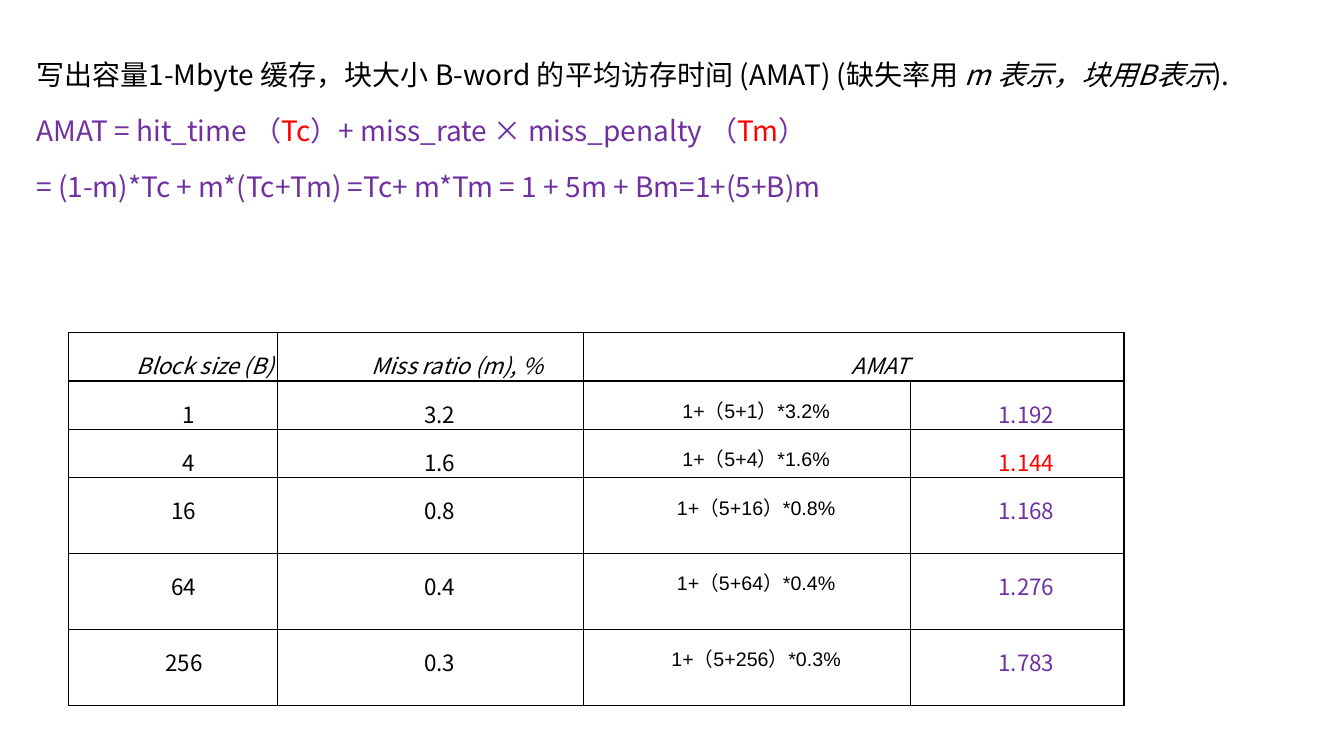
from pptx import Presentation
from pptx.dml.color import RGBColor as Rgb
from pptx.enum.text import MSO_AUTO_SIZE as Fit, MSO_ANCHOR as Anchor, PP_ALIGN as Align
from pptx.oxml import parse_xml
from pptx.oxml.ns import nsdecls
from pptx.util import Inches, Pt

BLACK = Rgb(0, 0, 0)
PURPLE = Rgb(0x70, 0x30, 0xA0)
RED = Rgb(0xFF, 0, 0)
SANS, ARIAL = "Noto Sans CJK SC", "Arial"

LINES = [
    [("写出容量1-Mbyte 缓存，块大小 B-word 的平均访存时间 (AMAT) (缺失率用 ", BLACK, False),
     ("m 表示，块用B表示", BLACK, True), (").", BLACK, False)],
    [("AMAT = hit_time （", PURPLE, False), ("Tc", RED, False),
     ("）+ miss_rate × miss_penalty （", PURPLE, False), ("Tm", RED, False),
     ("）", PURPLE, False)],
    [("= (1-m)*Tc + m*(Tc+Tm) =Tc+ m*Tm = 1 + 5m + Bm=1+(5+B)m", PURPLE, False)],
]
HEADS = [("Block size (B)", 0.36), ("Miss ratio (m), %", 0.25), ("AMAT", 0.25)]
ROWS = [
    ("1", "3.2", "1.192"),
    ("4", "1.6", "1.144"),
    ("16", "0.8", "1.168"),
    ("64", "0.4", "1.276"),
    ("256", "0.3", "1.783"),
]
BEST = "1.144"
WIDTHS = [2.07, 3.04, 3.24, 2.12]
HEIGHTS = [0.48] * 3 + [0.75] * 3


def add_run(para, text, size, color, face=SANS, italic=False):
    """Add one formatted run to a paragraph."""
    run = para.add_run()
    run.text = text
    form = {"size": Pt(size), "name": face, "italic": italic, "bold": False}
    for key, value in form.items():
        setattr(run.font, key, value)
    run.font.color.rgb = color
    east = parse_xml(f'<a:ea {nsdecls("a")} typeface="{SANS}"/>')
    run.font._element.append(east)


def indent(para, left, first, right=0):
    """Set the margins and first-line indent of a paragraph."""
    props = para._p.get_or_add_pPr()
    for key, value in {"marL": left, "indent": first, "marR": right}.items():
        props.set(key, str(Inches(value)))
    return props


def add_body(slide):
    """Fill the body with the question and the formula."""
    slide.shapes.title.element.getparent().remove(slide.shapes.title.element)
    body = slide.placeholders[1]
    place = {"left": 0.26, "top": 0.44, "width": 12.5, "height": 4.76}
    for key, value in place.items():
        setattr(body, key, Inches(value))
    frame = body.text_frame
    frame.auto_size = Fit.NONE
    for num, line in enumerate(LINES):
        para = frame.add_paragraph() if num else frame.paragraphs[0]
        indent(para, 0, 0).append(parse_xml(f'<a:buNone {nsdecls("a")}/>'))
        para.line_spacing = 1.25
        para.space_before = Pt(10 if num else 0)
        for text, color, italic in line:
            add_run(para, text, 20, color, italic=italic)


def set_cell(cell, text, margins, size=16, color=BLACK, face=SANS, italic=False):
    """Write centred text in a cell."""
    para = cell.text_frame.paragraphs[0]
    indent(para, *margins)
    para.alignment = Align.CENTER
    para.line_spacing = 1.5
    add_run(para, text, size, color, face, italic)


def style_cell(cell):
    """Clear the fill and padding of a cell and rule its four sides."""
    form = {"margin_left": 0, "margin_right": 0, "margin_top": 0,
            "margin_bottom": 0, "vertical_anchor": Anchor.TOP}
    for key, value in form.items():
        setattr(cell, key, value)
    props = cell._tc.get_or_add_tcPr()
    for side in ("lnL", "lnR", "lnT", "lnB"):
        props.append(parse_xml(
            f'<a:{side} {nsdecls("a")} w="{Pt(1)}"><a:solidFill>'
            f'<a:srgbClr val="{BLACK}"/></a:solidFill></a:{side}>'))
    cell.fill.background()


def add_grid(slide):
    """Build the table of access times by block size."""
    grid = slide.shapes.add_table(
        len(HEIGHTS), len(WIDTHS), Inches(0.68), Inches(3.3),
        Inches(sum(WIDTHS)), Inches(sum(HEIGHTS))).table
    grid.first_row = grid.horz_banding = False
    for col, width in zip(grid.columns, WIDTHS):
        col.width = Inches(width)
    for row, height in zip(grid.rows, HEIGHTS):
        row.height = Inches(height)
    for cell in grid.iter_cells():
        style_cell(cell)
    grid.cell(0, 2).merge(grid.cell(0, 3))
    for col, (text, left) in enumerate(HEADS):
        set_cell(grid.cell(0, col), text, (left, 0.28), italic=True)
    wide = (0.58, 0.28, 0.68)
    for num, (block, miss, time) in enumerate(ROWS, 1):
        edge = (0.05, 0.27) if len(block) == 1 else (0.59, 0.28, 0.65)
        set_cell(grid.cell(num, 0), block, edge)
        set_cell(grid.cell(num, 1), miss, wide)
        set_cell(grid.cell(num, 2), f"1+（5+{block}）*{miss}%", wide, 14, face=ARIAL)
        set_cell(grid.cell(num, 3), time, wide, color=RED if time == BEST else PURPLE)


def main():
    """Build and save the slide."""
    deck = Presentation()
    deck.slide_width, deck.slide_height = Inches(13.33), Inches(7.5)
    slide = deck.slides.add_slide(deck.slide_layouts[1])
    add_body(slide)
    add_grid(slide)
    deck.save("out.pptx")


if __name__ == "__main__":
    main()
